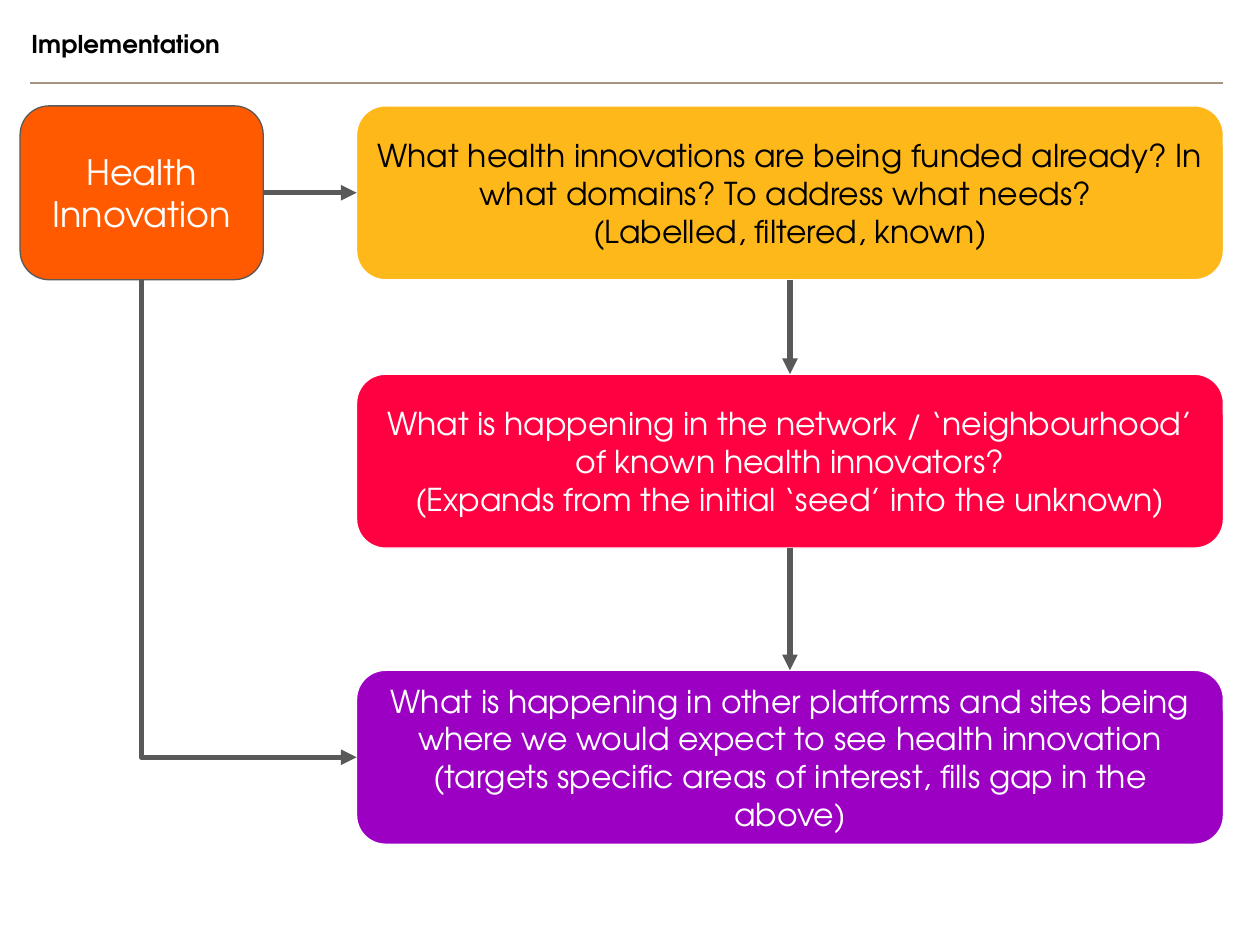
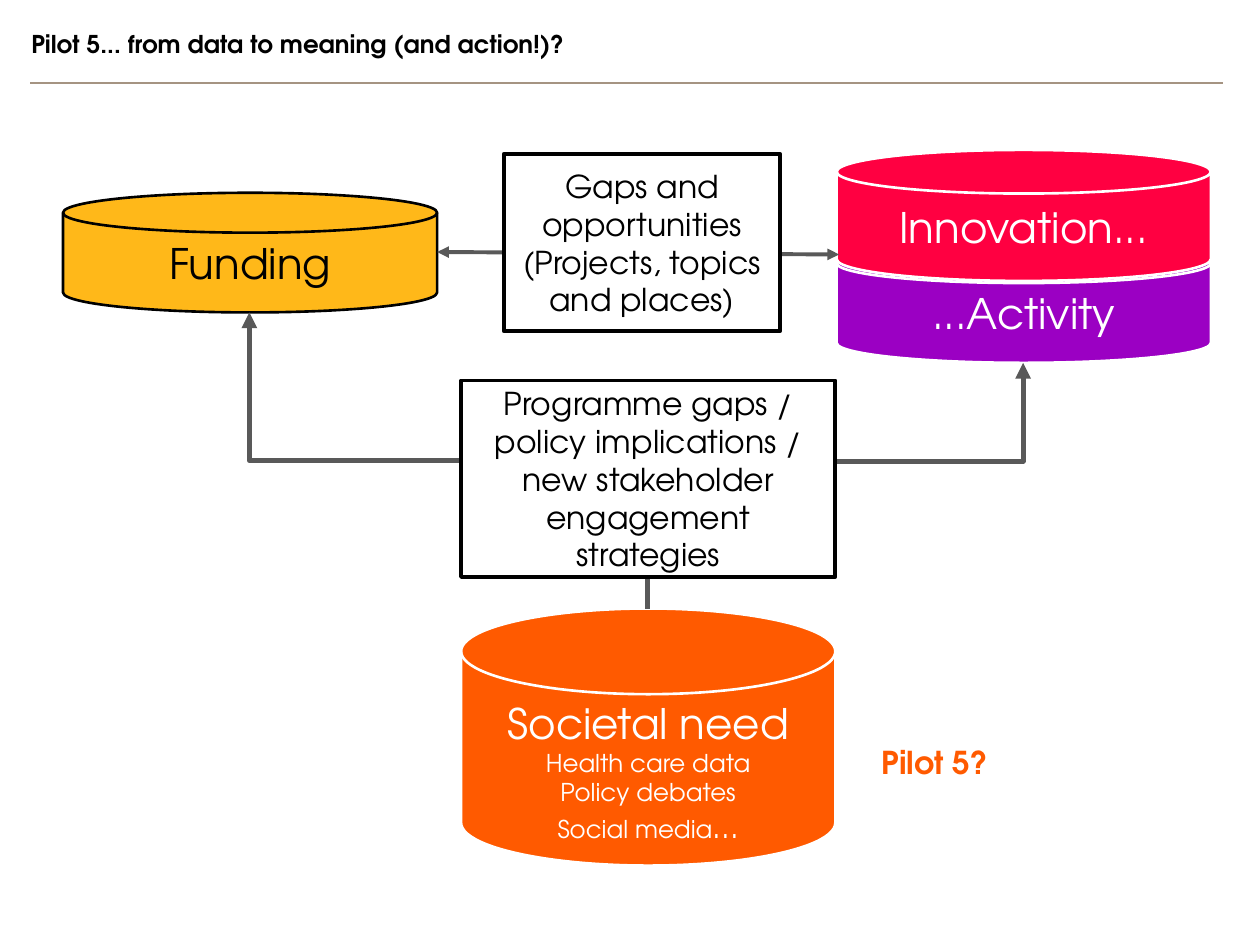
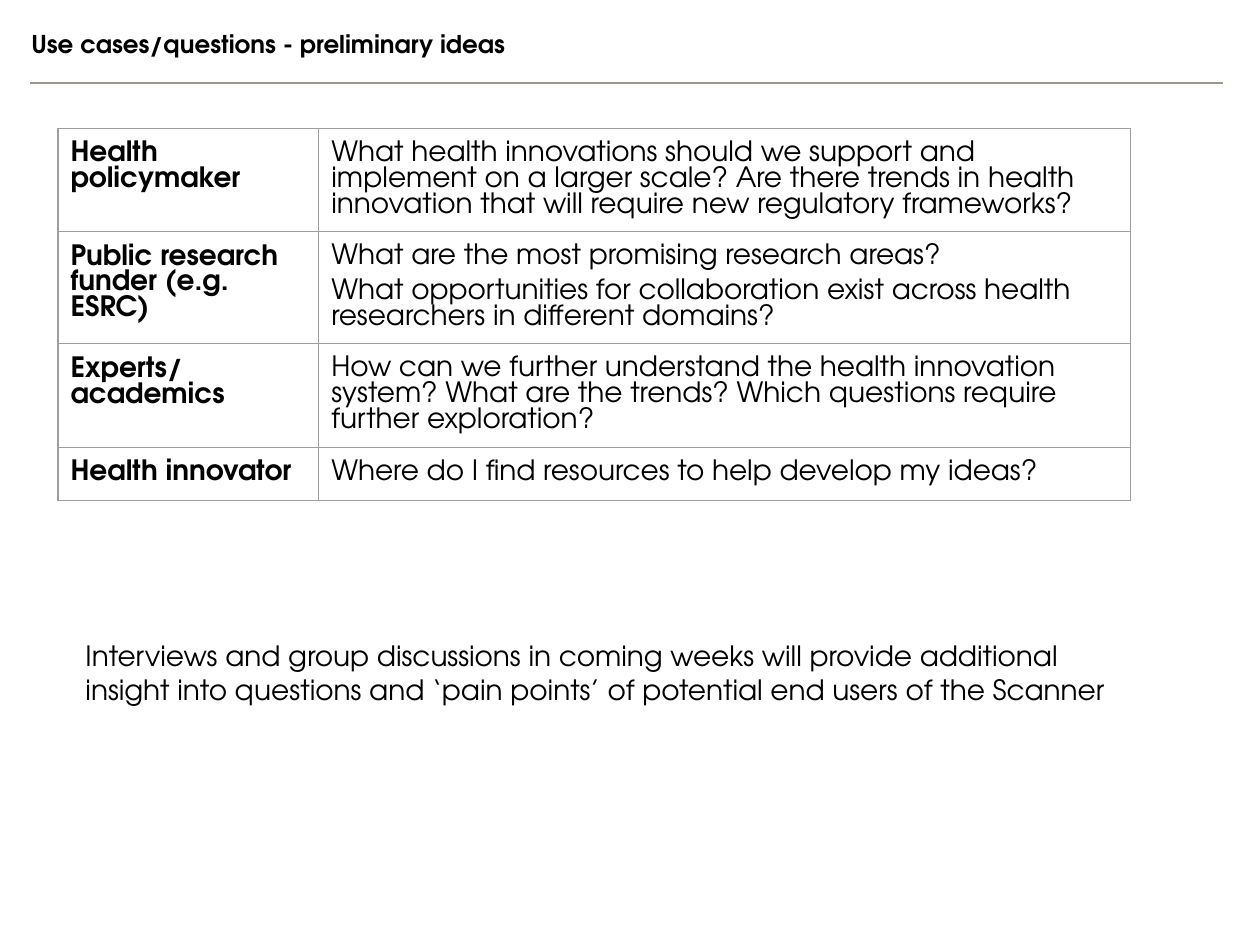
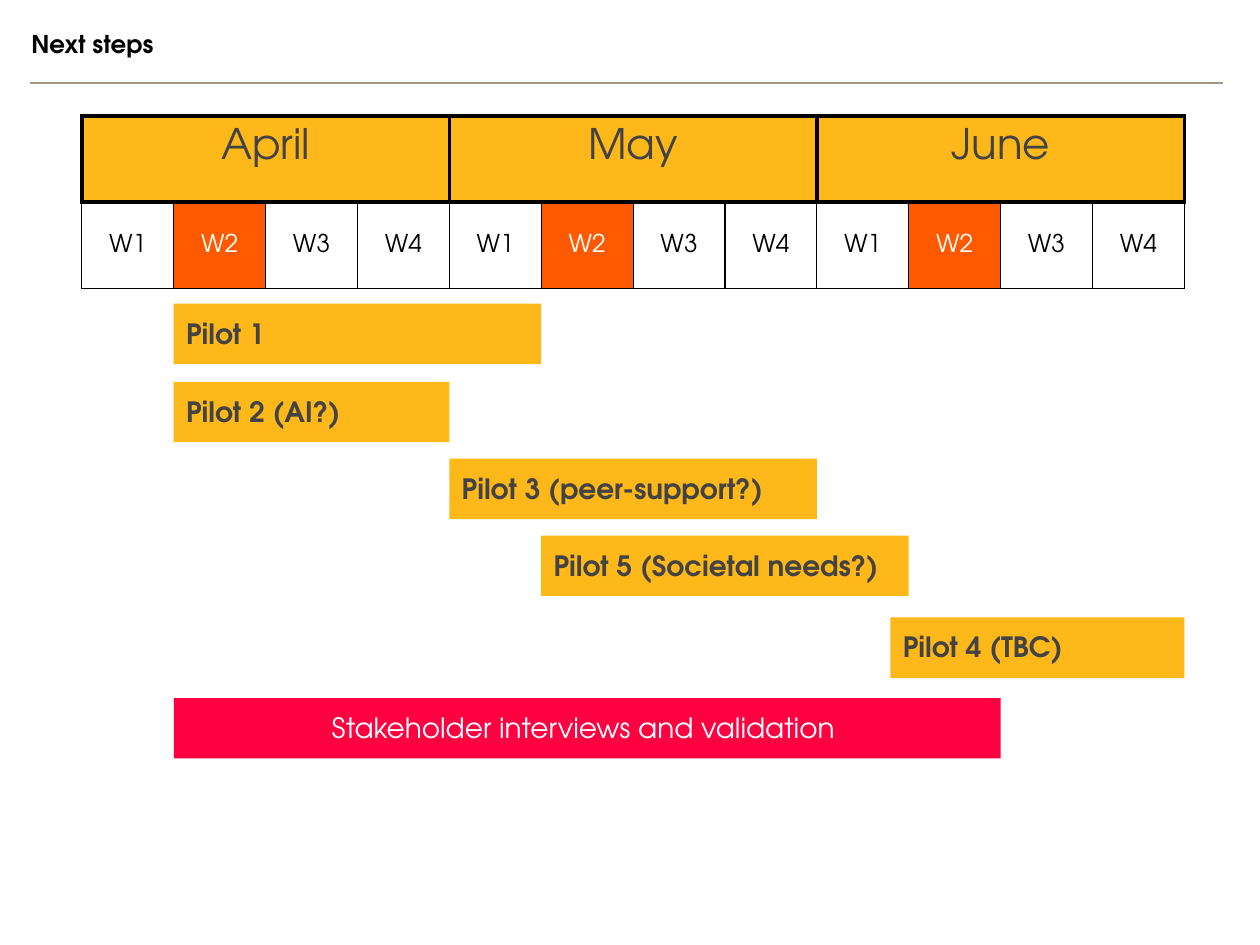
"""Builds four slides on health innovation: implementation, Pilot 5, use cases and next steps."""
from lxml import etree
from pptx import Presentation, util as u
from pptx.dml import color
from pptx.enum import shapes, text
from pptx.oxml import ns

WIDTH, HEIGHT = 10, 7.5
FONT = "TeX Gyre Adventor"
INSET = 0.1
BLACK, WHITE, GREY, CHARCOAL = "000000", "FFFFFF", "595959", "434343"
AMBER, ORANGE, RED, PURPLE = "FFB819", "FF5A00", "FF0041", "9B00C3"
RULE, TABLE_RULE = "A59482", "9E9E9E"
CENTER, LEFT = text.PP_ALIGN.CENTER, text.PP_ALIGN.LEFT
TOP, MIDDLE = text.MSO_ANCHOR.TOP, text.MSO_ANCHOR.MIDDLE
ROUND = shapes.MSO_SHAPE.ROUNDED_RECTANGLE
RECT = shapes.MSO_SHAPE.RECTANGLE
DISK = shapes.MSO_SHAPE.FLOWCHART_MAGNETIC_DISK

TITLES = ["Implementation", "Pilot 5... from data to meaning (and action!)?",
          "Use cases/questions - preliminary ideas", "Next steps"]

QUESTIONS = [
    (0.84, AMBER, BLACK, ["What health innovations are being funded already? In what domains? "
                          "To address what needs? ", "(Labelled, filtered, known)"]),
    (2.97, RED, WHITE, ["What is happening in the network / ‘neighbourhood’ of known health innovators?",
                        "(Expands from the initial ‘seed’ into the unknown)"]),
    (5.32, PURPLE, WHITE, ["What is happening in other platforms and sites being where we would "
                           "expect to see health innovation",
                           "(targets specific areas of interest, fills gap in the above)"]),
]

DISK_WIDTH = 2.97
DISKS = [
    (6.64, 1.93, 0.95, PURPLE, WHITE, WHITE, ["...Activity"], INSET),
    (0.5, 1.53, 0.95, AMBER, BLACK, BLACK, ["Funding"], INSET),
    (6.64, 1.19, 1.04, RED, WHITE, WHITE, ["Innovation..."], INSET),
    (3.66, 4.83, 2.04, ORANGE, WHITE, WHITE,
     ["Societal need", [("Health care data", 14)], [("Policy debates", 14)],
      [("Social media", 14), ("...", 18)]], 0.3),
]
GAPS = ((4, 1.22, 2.19, 1.41), ["Gaps and opportunities", "(Projects, topics and places)"])
PROGRAMME = ((3.66, 3.02, DISK_WIDTH, 1.56),
             ["Programme gaps / policy implications / new stakeholder engagement strategies"])

USE_CASES = [
    (0.82, "Health policymaker", ["What health innovations should we support and implement on a larger "
                                  "scale? Are there trends in health innovation that will require new "
                                  "regulatory frameworks?"]),
    (0.89, "Public research funder (e.g. ESRC)",
     ["What are the most promising research areas?",
      "What opportunities for collaboration exist across health researchers in different domains?"]),
    (0.82, "Experts/ academics", ["How can we further understand the health innovation system? What are "
                                  "the trends? Which questions require further exploration?"]),
    (0.42, "Health innovator", ["Where do I find resources to help develop my ideas?"]),
]
INTERVIEWS = ("Interviews and group discussions in coming weeks will provide additional insight into "
              "questions and ‘pain points’ of potential end users of the Scanner")

MONTHS = ["April", "May", "June"]
WEEKS = ["W1", "W2", "W3", "W4"]
MEETING_WEEK = "W2"
CALENDAR_LEFT, CALENDAR_TOP, CALENDAR_WIDTH, CALENDAR_HEIGHT = 0.65, 0.92, 8.75, 1.37
PILOT = dict(align=LEFT, ink=CHARCOAL, bold=True)
BARS = [
    (1, 4, 2.41, AMBER, "Pilot 1", PILOT),
    (1, 3, 3.03, AMBER, "Pilot 2 (AI?)", PILOT),
    (4, 4, 3.64, AMBER, "Pilot 3 (peer-support?)", PILOT),
    (5, 4, 4.25, AMBER, "Pilot 5 (Societal needs?)", PILOT),
    (8.8, 3.2, 4.9, AMBER, "Pilot 4 (TBC)", PILOT),
    (1, 9, 5.54, RED, "Stakeholder interviews and validation ", dict(ink=WHITE)),
]


def rgb(value):
    return color.RGBColor.from_string(value)


def inches(values):
    return [u.Inches(value) for value in values]


def apply(target, values):
    for name, value in values.items():
        setattr(target, name, value)


def write(frame, paragraphs, size, ink, bold=False, align=CENTER, spacing=None, before=0):
    for index, content in enumerate(paragraphs):
        paragraph = frame.paragraphs[0] if index == 0 else frame.add_paragraph()
        apply(paragraph, dict(alignment=align, line_spacing=spacing,
                              space_before=u.Pt(before if index else 0)))
        for words, points in [(content, size)] if isinstance(content, str) else content:
            run = paragraph.add_run()
            run.text = words
            apply(run.font, dict(name=FONT, size=u.Pt(points), bold=bold))
            run.font.color.rgb = rgb(ink)


def frame_format(frame, anchor, top=INSET, bottom=INSET):
    apply(frame, dict(word_wrap=True, vertical_anchor=anchor, margin_left=u.Inches(INSET),
                      margin_right=u.Inches(INSET), margin_top=u.Inches(top),
                      margin_bottom=u.Inches(bottom)))


def text_box(slide, place, paragraphs, size, ink=BLACK, bold=False, inset=INSET):
    frame = slide.shapes.add_textbox(*inches(place)).text_frame
    frame_format(frame, TOP, inset, inset)
    write(frame, paragraphs, size, ink, bold, LEFT)
    return frame


def block(slide, kind, place, fill, paragraphs, size, ink, outline=None, weight=0.75,
          anchor=MIDDLE, top=INSET, **style):
    shape = slide.shapes.add_shape(kind, *inches(place))
    shape.shadow.inherit = False
    shape.fill.solid()
    shape.fill.fore_color.rgb = rgb(fill)
    if outline:
        shape.line.color.rgb = rgb(outline)
        shape.line.width = u.Pt(weight)
    else:
        shape.line.fill.background()
    frame_format(shape.text_frame, anchor, top)
    write(shape.text_frame, paragraphs, size, ink, **style)
    return shape


def connector(slide, ends, ink=GREY, weight=3, arrows=("tailEnd",), kind=shapes.MSO_CONNECTOR.STRAIGHT):
    line = slide.shapes.add_connector(kind, *inches(ends))
    line.line.color.rgb = rgb(ink)
    line.line.width = u.Pt(weight)
    for arrow in arrows:
        etree.SubElement(line.line._get_or_add_ln(), ns.qn(f"a:{arrow}"), type="triangle")
    etree.SubElement(line._element.spPr, ns.qn("a:effectLst"))
    return line


def joined(slide, start, start_side, end, end_side):
    arrow = connector(slide, (0, 0, 1, 1))
    arrow.begin_connect(start, start_side)
    arrow.end_connect(end, end_side)


def elbow(slide, start, end, turn, flip, preset, bend=None):
    """Draws a bent arrow that leaves its start vertically."""
    (x1, y1), (x2, y2) = start, end
    mid_x, mid_y = (x1 + x2) / 2, (y1 + y2) / 2
    half_w, half_h = abs(y2 - y1) / 2, abs(x2 - x1) / 2
    arrow = connector(slide, (mid_x - half_w, mid_y - half_h, mid_x + half_w, mid_y + half_h),
                      kind=shapes.MSO_CONNECTOR.ELBOW)
    properties = arrow._element.spPr
    transform = properties.find(ns.qn("a:xfrm"))
    transform.set("rot", str(turn * 60000))
    if flip:
        transform.set("flipH", "1")
    geometry = properties.find(ns.qn("a:prstGeom"))
    geometry.set("prst", preset)
    if bend:
        guides = geometry.find(ns.qn("a:avLst"))
        etree.SubElement(guides, ns.qn("a:gd"), name="adj1", fmla=f"val {round(bend * 100000)}")


def format_cell(cell, paragraphs, size, ink, border, weight, fill=None, anchor=TOP, **style):
    properties = cell._tc.get_or_add_tcPr()
    for side in "LRTB":
        edge = etree.SubElement(properties, ns.qn(f"a:ln{side}"), w=str(u.Pt(weight)))
        solid = etree.SubElement(edge, ns.qn("a:solidFill"))
        etree.SubElement(solid, ns.qn("a:srgbClr"), val=border)
    if fill:
        cell.fill.solid()
        cell.fill.fore_color.rgb = rgb(fill)
    else:
        cell.fill.background()
    apply(cell, dict(vertical_anchor=anchor, **{f"margin_{side}": u.Inches(INSET)
                                                for side in ("left", "right", "top", "bottom")}))
    write(cell.text_frame, paragraphs, size, ink, **style)


def add_grid(slide, left, top, columns, rows):
    grid = slide.shapes.add_table(len(rows), len(columns),
                                  *inches((left, top, sum(columns), sum(rows)))).table
    apply(grid, dict(first_row=False, horz_banding=False))
    for column, width in zip(grid.columns, columns):
        column.width = u.Inches(width)
    for row, height in zip(grid.rows, rows):
        row.height = u.Inches(height)
    return grid


def titled_slide(deck, title):
    slide = deck.slides.add_slide(deck.slide_layouts[6])
    connector(slide, (0.24, 0.66, 9.71, 0.66), RULE, 0.75, ())
    text_box(slide, (0.15, 0.13, 9.56, 0.48), [title], 14, bold=True)
    return slide


def implementation(slide):
    health = block(slide, ROUND, (0.16, 0.84, 1.93, 1.38), ORANGE, ["Health Innovation"], 20, WHITE, GREY)
    steps = [block(slide, ROUND, (2.83, top, 6.88, 1.38), fill, words, 18, ink, WHITE)
             for top, fill, ink, words in QUESTIONS]
    joined(slide, health, 3, steps[0], 1)
    for upper, lower in zip(steps, steps[1:]):
        joined(slide, upper, 2, lower, 0)
    elbow(slide, (1.12, 2.22), (2.83, 6.01), 270, True, "bentConnector2")


def data_to_meaning(slide):
    for left, top, height, fill, outline, ink, words, inset in DISKS:
        block(slide, DISK, (left, top, DISK_WIDTH, height), fill, words, 24, ink, outline, 1.5, top=inset)
    connector(slide, (3.47, 2, 6.66, 2.02), weight=2.25, arrows=("headEnd", "tailEnd"))
    need = (5.14, 4.83)
    elbow(slide, need, (1.98, 2.48), 90, True, "bentConnector3", 0.5)
    elbow(slide, need, (8.12, 2.88), 270, False, "bentConnector3", 0.6)
    for place, words in (GAPS, PROGRAMME):
        block(slide, RECT, place, WHITE, words, 18, BLACK, BLACK, 2.25)
    label = text_box(slide, (6.9, 5.85, 1.84, 0.4), ["Pilot 5?"], 18, ORANGE, True, 0.05)
    label.auto_size = text.MSO_AUTO_SIZE.SHAPE_TO_FIT_TEXT


def use_cases(slide):
    grid = add_grid(slide, 0.46, 1.02, (2.07, 6.44), [case[0] for case in USE_CASES])
    for row, (_, user, questions) in enumerate(USE_CASES):
        for column, words in enumerate(([user], questions)):
            format_cell(grid.cell(row, column), words, 16, BLACK, TABLE_RULE, 0.75,
                        bold=column == 0, align=LEFT, spacing=u.Pt(14.8), before=5)
    text_box(slide, (0.58, 4.97, 8.39, 1.11), [INTERVIEWS], 16)


def next_steps(slide):
    count, span = len(MONTHS) * len(WEEKS), len(WEEKS)
    week_width = CALENDAR_WIDTH / count
    grid = add_grid(slide, CALENDAR_LEFT, CALENDAR_TOP, [week_width] * count, [CALENDAR_HEIGHT / 2] * 2)
    for column in range(count):
        month, week = MONTHS[column // span], WEEKS[column % span]
        format_cell(grid.cell(0, column), [] if column % span else [month], 24, CHARCOAL,
                    BLACK, 2.25, AMBER)
        meeting = week == MEETING_WEEK
        format_cell(grid.cell(1, column), [week], 14, WHITE if meeting else BLACK, BLACK, 0.75,
                    ORANGE if meeting else None, MIDDLE)
    for first in range(0, count, span):
        grid.cell(0, first).merge(grid.cell(0, first + span - 1))
    for start, weeks, top, fill, words, style in BARS:
        place = (CALENDAR_LEFT + start * week_width, top, weeks * week_width, 0.48)
        block(slide, RECT, place, fill, [words], 16, anchor=TOP, **style)


def main():
    deck = Presentation()
    apply(deck, dict(slide_width=u.Inches(WIDTH), slide_height=u.Inches(HEIGHT)))
    for title, build in zip(TITLES, (implementation, data_to_meaning, use_cases, next_steps)):
        build(titled_slide(deck, title))
    deck.save("out.pptx")


if __name__ == "__main__":
    main()
